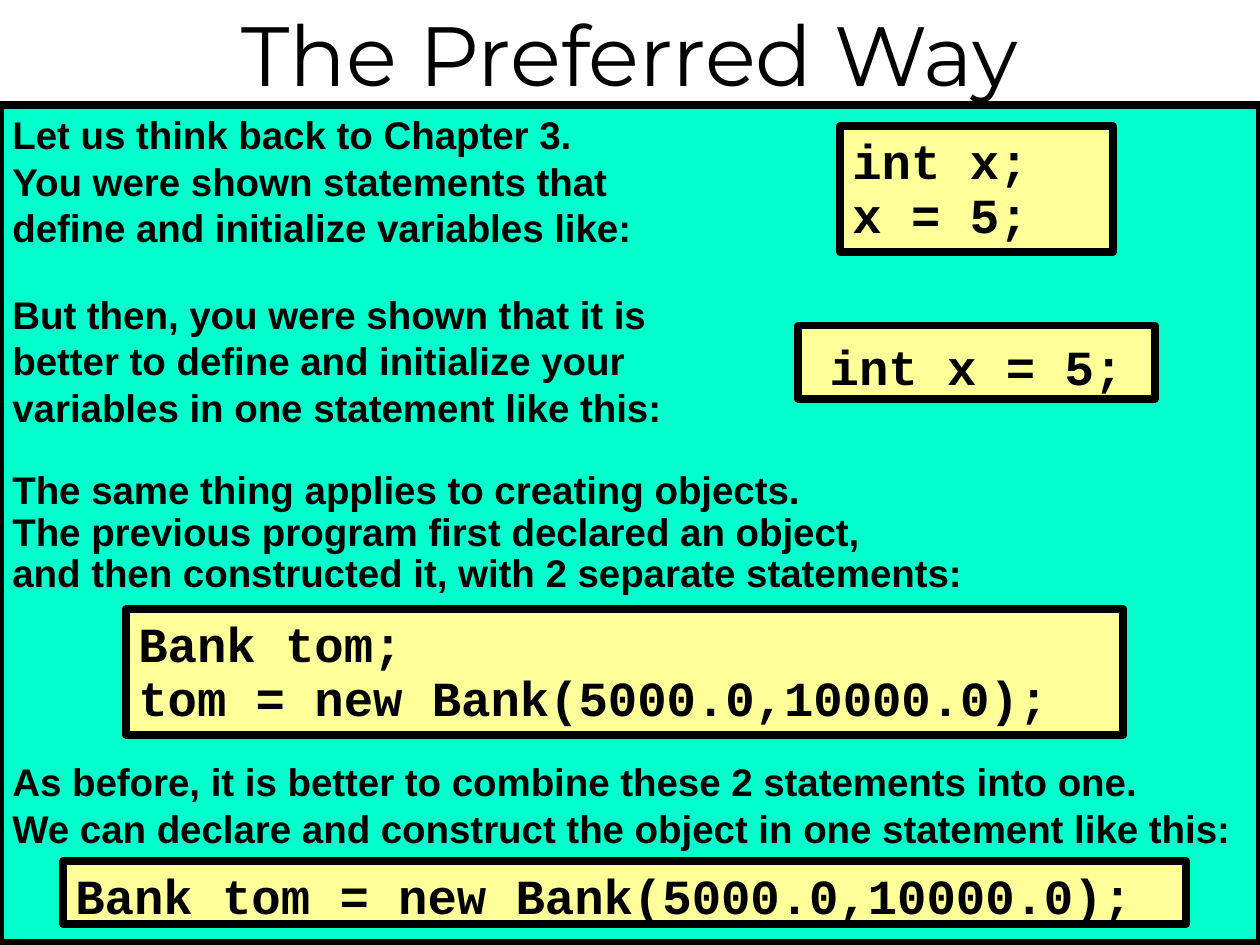
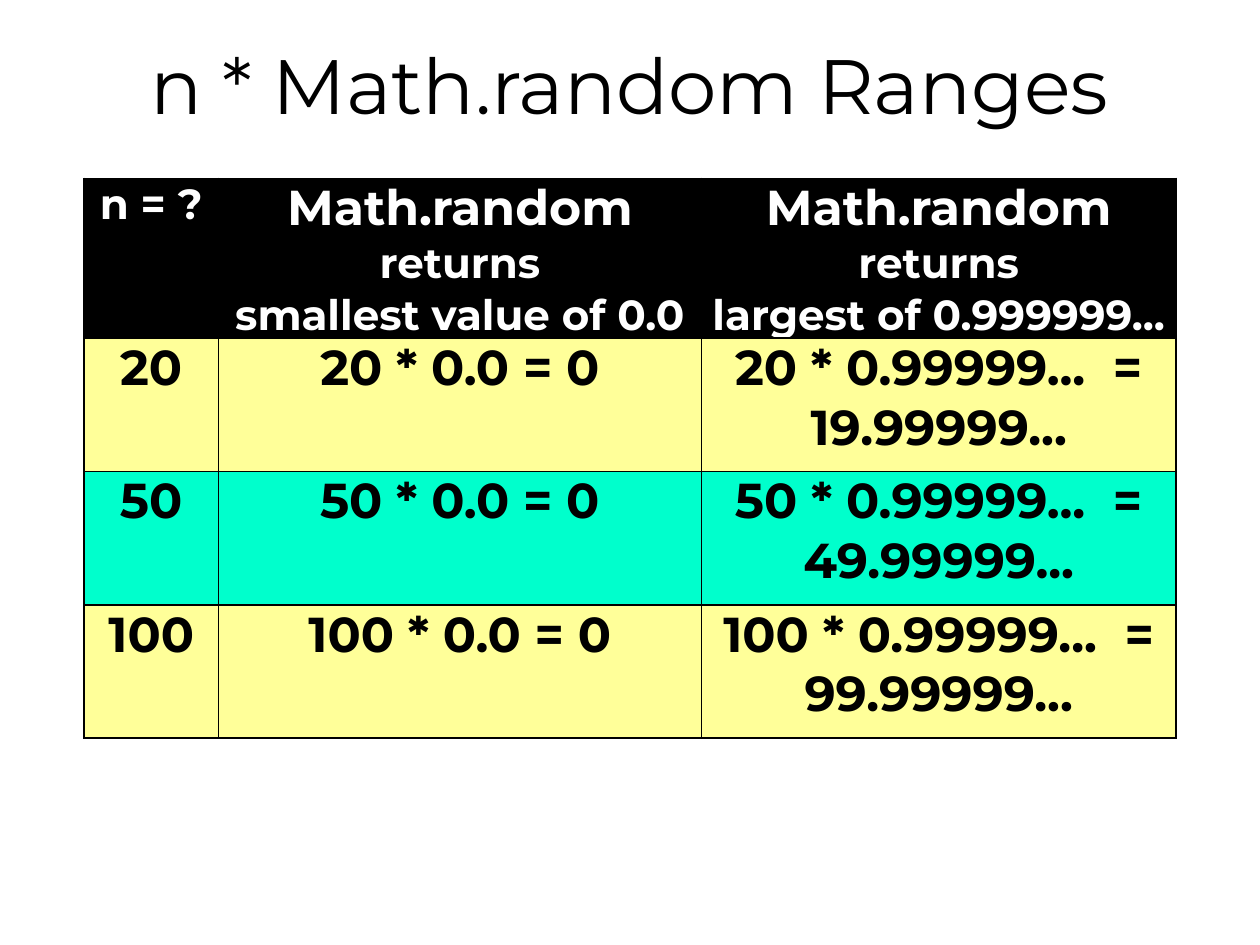
from dataclasses import dataclass

from lxml import etree
from pptx import Presentation
from pptx.dml.color import RGBColor
from pptx.enum.shapes import MSO_SHAPE
from pptx.enum.text import MSO_ANCHOR, PP_ALIGN
from pptx.oxml.ns import qn
from pptx.util import Inches, Pt

RECT = MSO_SHAPE.RECTANGLE
TOP, MIDDLE = MSO_ANCHOR.TOP, MSO_ANCHOR.MIDDLE
LEFT, CENTER, JUSTIFY = PP_ALIGN.LEFT, PP_ALIGN.CENTER, PP_ALIGN.JUSTIFY


@dataclass(frozen=True)
class Theme:
    ink: str = "000000"
    paper: str = "FFFFFF"
    mint: str = "00FFCC"
    cream: str = "FFFF99"
    display: str = "Montserrat"
    body: str = "Arial"
    code: str = "Courier New"
    title_size: int = 48
    small_title_size: int = 44
    body_size: int = 22
    code_size: int = 28
    cell_size: int = 28
    head_size: int = 24
    outline: float = 4.5
    rule: float = 1
    body_leading: float = 26.5
    tight_body_leading: float = 23.8
    code_leading: float = 34.1
    tight_code_leading: float = 30.7


class Deck:
    """Draws styled elements on the current slide, on a grid of 60 columns by 45 rows."""

    def __init__(self, theme):
        self.t = theme
        self.prs = Presentation()
        self.prs.slide_width, self.prs.slide_height = Inches(10), Inches(7.5)
        self.unit = self.prs.slide_width / 60

    def grid(self, *cells):
        return [round(c * self.unit) for c in cells]

    def new_slide(self):
        self.s = self.prs.slides.add_slide(self.prs.slide_layouts[6])
        fill = self.s.background.fill
        fill.solid()
        fill.fore_color.rgb = RGBColor.from_string(self.t.paper)

    def font(self, font, name, size, color, bold=False):
        font.name, font.size, font.bold = name, Pt(size), bold
        font.color.rgb = RGBColor.from_string(color)

    def title(self, text, rows, size):
        tf = self.s.shapes.add_textbox(*self.grid(0, 0, 60, rows)).text_frame
        tf.word_wrap, tf.vertical_anchor = True, MIDDLE
        p = tf.paragraphs[0]
        p.text, p.alignment = text, CENTER
        self.font(p.font, self.t.display, size, self.t.ink)

    def panel(self, place, color):
        sp = self.s.shapes.add_shape(RECT, *self.grid(*place))
        sp.shadow.inherit = False
        sp.fill.solid()
        sp.fill.fore_color.rgb = RGBColor.from_string(color)
        sp.line.color.rgb = RGBColor.from_string(self.t.ink)
        sp.line.width = Pt(self.t.outline)
        tf = sp.text_frame
        tf.word_wrap, tf.vertical_anchor = True, TOP
        return tf

    def lines(self, tf, lines, name, size, leading, align=LEFT, gap=0):
        for i, text in enumerate(lines):
            p = tf.paragraphs[0] if not tf.text else tf.add_paragraph()
            p.text, p.alignment, p.line_spacing = text, align, Pt(leading)
            p.space_before = Pt(0 if i else gap)
            self.font(p.font, name, size, self.t.ink, True)

    def prose(self, place, groups):
        tf = self.panel(place, self.t.mint)
        for gap, leading, align, text in groups:
            self.lines(tf, text, self.t.body, self.t.body_size, leading, align, gap)

    def code(self, place, text, leading, align=LEFT):
        tf = self.panel(place, self.t.cream)
        tf.margin_top = Inches(0.08)
        self.lines(tf, text, self.t.code, self.t.code_size, leading, align)

    def borders(self, cell):
        tc_pr = cell._tc.get_or_add_tcPr()
        for i, side in enumerate(("lnL", "lnR", "lnT", "lnB")):
            ln = etree.Element(qn(f"a:{side}"), w=str(Pt(self.t.rule)))
            fill = etree.SubElement(ln, qn("a:solidFill"))
            etree.SubElement(fill, qn("a:srgbClr"), val=self.t.ink)
            tc_pr.insert(i, ln)

    def cell(self, cell, paragraphs, fill, color):
        cell.fill.solid()
        cell.fill.fore_color.rgb = RGBColor.from_string(fill)
        cell.margin_left = cell.margin_right = Inches(0.07)
        cell.margin_top = cell.margin_bottom = 0
        self.borders(cell)
        tf = cell.text_frame
        for i, runs in enumerate(paragraphs):
            p = tf.add_paragraph() if i else tf.paragraphs[0]
            p.alignment = CENTER
            for text, size in runs:
                r = p.add_run()
                r.text = text
                self.font(r.font, self.t.display, size, color, True)

    def table(self, corner, cols, rows, head, body):
        place = self.grid(*corner, sum(cols), sum(rows))
        table = self.s.shapes.add_table(len(rows), len(cols), *place).table
        for col, width in zip(table.columns, self.grid(*cols)):
            col.width = width
        for row, height in zip(table.rows, self.grid(*rows)):
            row.height = height
        for c, paragraphs in enumerate(head):
            self.cell(table.cell(0, c), paragraphs, self.t.ink, self.t.paper)
        for r, values in enumerate(body, 1):
            fill = self.t.cream if r % 2 else self.t.mint
            for c, text in enumerate(values):
                self.cell(table.cell(r, c), [[(text, self.t.cell_size)]], fill, self.t.ink)


def preferred_way(deck):
    t = deck.t
    deck.new_slide()
    deck.title("The Preferred Way", 5, t.title_size)
    deck.prose((0, 5, 60, 39.9), [
        (0, t.body_leading, JUSTIFY, [
            "Let us think back to Chapter 3.",
            "You were shown statements that",
            "define and initialize variables like:"]),
        (23.1, t.body_leading, JUSTIFY, [
            "But then, you were shown that it is",
            "better to define and initialize your",
            "variables in one statement like this:"]),
        (23.1, t.tight_body_leading, JUSTIFY, [
            "The same thing applies to creating objects.",
            "The previous program first declared an object,",
            "and then constructed it, with 2 separate statements:"]),
        (92.9, t.body_leading, LEFT, [
            "As before, it is better to combine these 2 statements into one.",
            "We can declare and construct the object in one statement like this:"]),
    ])
    deck.code((40, 6, 13, 6), ["int x;", "x = 5;"], t.tight_code_leading)
    deck.code((38, 15.5, 17, 3.5), ["int x = 5;"], t.code_leading, CENTER)
    deck.code((6, 29, 47.5, 6), ["Bank tom;", "tom = new Bank(5000.0,10000.0);"],
              t.tight_code_leading)
    deck.code((3, 41, 53.5, 3), ["Bank tom = new Bank(5000.0,10000.0);"],
              t.tight_code_leading)


def random_ranges(deck):
    t = deck.t
    deck.new_slide()
    deck.title("n * Math.random Ranges", 8, t.small_title_size)
    call = [("Math.random ", t.cell_size), ("returns", t.head_size)]
    head = [[[("n = ?", t.head_size)]]]
    for limit in ("smallest value of 0.0", "largest of 0.999999..."):
        head.append([call, [(limit, t.head_size)]])
    body = [(f"{n}", f"{n} * 0.0 = 0", f"{n} * 0.99999...  = {n - 1}.99999...")
            for n in (20, 50, 100)]
    deck.table((4, 8.5), (6.4, 23, 22.6), (5.9, 6.35, 6.35, 6.35), head, body)


deck = Deck(Theme())
preferred_way(deck)
random_ranges(deck)
deck.prs.save("out.pptx")
